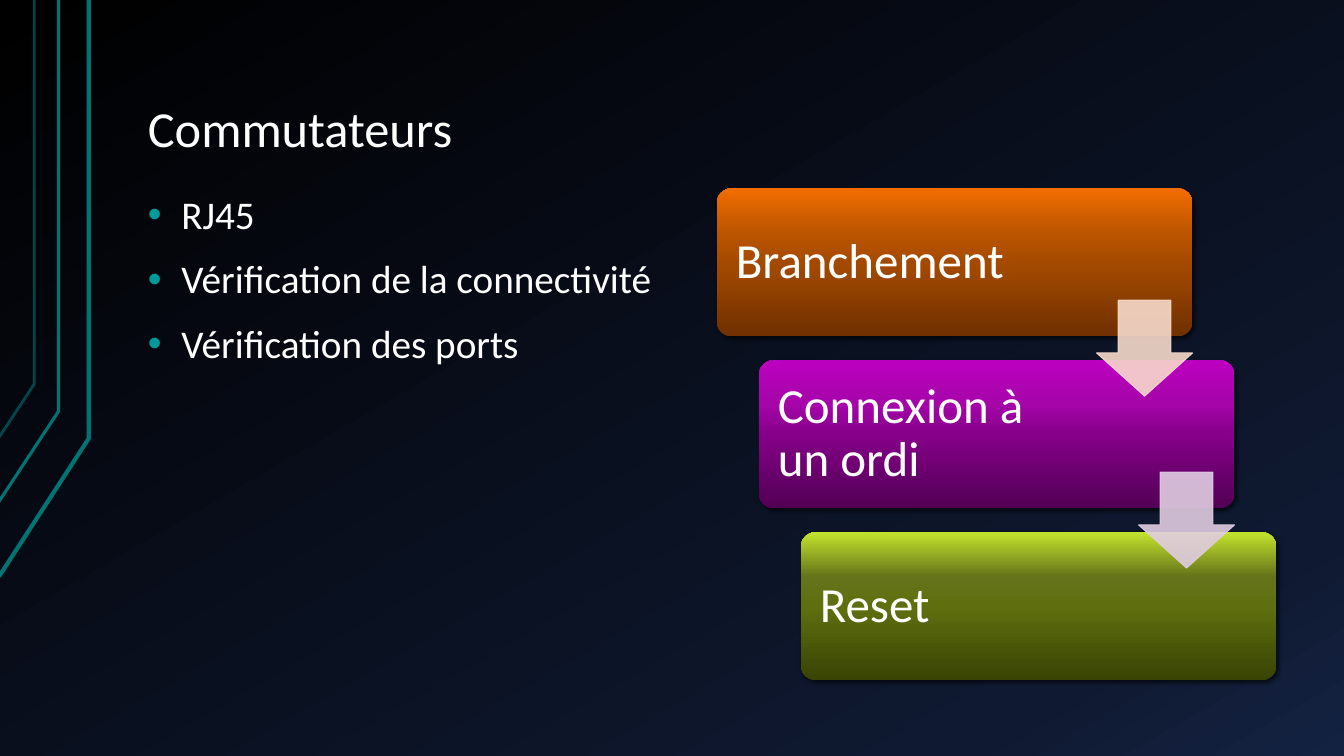
import pptx
import pptx.util
import pptx.dml.color
import pptx.enum.shapes
import pptx.enum.text
import pptx.oxml.ns
from lxml import etree

Pt = pptx.util.Pt
RGBColor = pptx.dml.color.RGBColor
SHAPE = pptx.enum.shapes.MSO_SHAPE
ANCHOR = pptx.enum.text.MSO_ANCHOR
qn = pptx.oxml.ns.qn

COLORS = {"white": "FFFFFF", "trace": "007373", "bullet": "009999", "shadow": "000000",
          "orange arrow": "F7DACC", "purple arrow": "E0CCE1"}
GRADIENTS = {
    "background": [(0, "000000"), (85, "0F1931"), (100, "142242")],
    "orange": [(0, "703000"), (50, "A44A00"), (70, "BC5500"), (100, "F26D00")],
    "purple": [(0, "520054"), (50, "850088"), (70, "A505A9"), (100, "BC00C0")],
    "green": [(0, "394404"), (50, "5F6F0F"), (70, "65741A"), (100, "C4E32D")],
}


def apply_gradient(fill, element, stops, angle):
    """Fill with colour stops given in percent; the angle runs clockwise."""
    fill.gradient()
    gradient = next(element.iter(qn("a:gradFill")))
    stop_list = gradient.find(qn("a:gsLst"))
    for stop in list(stop_list):
        stop_list.remove(stop)
    for position, color in stops:
        stop = etree.SubElement(stop_list, qn("a:gs"), pos=str(position * 1000))
        etree.SubElement(stop, qn("a:srgbClr"), val=color)
    direction = gradient.find(qn("a:lin"))
    direction.set("ang", str(angle * 60000))
    direction.set("scaled", "0")


def add_text(box, lines, size, anchor, margins):
    """Add a text box of white paragraphs and return its paragraphs."""
    frame = slide.shapes.add_textbox(*map(Pt, box)).text_frame
    frame.word_wrap = True
    frame.vertical_anchor = anchor
    frame.margin_left = frame.margin_right = Pt(margins[0])
    frame.margin_top = frame.margin_bottom = Pt(margins[1])
    for index, line in enumerate(lines):
        paragraph = frame.add_paragraph() if index else frame.paragraphs[0]
        paragraph.line_spacing = 0.9
        run = paragraph.add_run()
        run.text = line
        run.font.size = Pt(size)
        run.font.name = "Calibri"
        run.font.color.rgb = RGBColor.from_string(COLORS["white"])
    return frame.paragraphs


presentation = pptx.Presentation()
presentation.slide_width = Pt(960)
presentation.slide_height = Pt(540)
slide = presentation.slides.add_slide(presentation.slide_layouts[6])
apply_gradient(slide.background.fill, slide.element, GRADIENTS["background"], 60)

# Circuit traces: start of the diagonal, bend, line width, opacity in percent
traces = [((-0.7, 411.8), (63.4, 313.2), 3, 100),
          ((-1.4, 359.3), (41.8, 293.8), 2.25, 100),
          ((-0.7, 312.5), (24.5, 274.3), 2, 60)]
for (start_x, start_y), (bend_x, bend_y), width, opacity in traces:
    builder = slide.shapes.build_freeform(Pt(start_x), Pt(start_y))
    builder.add_line_segments([(Pt(bend_x), Pt(bend_y)), (Pt(bend_x), 0)], close=False)
    trace = builder.convert_to_shape()
    trace.shadow.inherit = False
    trace.fill.background()
    trace.line.width = Pt(width)
    trace.line.color.rgb = RGBColor.from_string(COLORS["trace"])
    for color in trace.element.spPr.iter(qn("a:srgbClr")):
        etree.SubElement(color, qn("a:alpha"), val=str(opacity * 1000))

# Title and bullets
add_text((96, 21.6, 816, 96.5), ["Commutateurs"], 36, ANCHOR.BOTTOM, (9.6, 4.8))
bullets = ["RJ45", "Vérification de la connectivité", "Vérification des ports"]
for paragraph in add_text((96, 134.6, 399.6, 351.4), bullets, 28, ANCHOR.TOP, (9.6, 4.8)):
    paragraph.space_before = Pt(16)
    properties = paragraph._p.get_or_add_pPr()
    properties.set("marL", str(Pt(24)))
    properties.set("indent", str(-Pt(24)))
    bullet_color = etree.SubElement(properties, qn("a:buClr"))
    etree.SubElement(bullet_color, qn("a:srgbClr"), val=COLORS["bullet"])
    etree.SubElement(properties, qn("a:buFont"), typeface="Arial")
    etree.SubElement(properties, qn("a:buChar"), char="•")

# Staircase of steps
CARD_LEFT, CARD_TOP, STEP_X, STEP_Y = 512, 134.6, 30, 122.8
steps = [("Branchement", "orange", 226), ("Connexion à un ordi", "purple", 235.4),
         ("Reset", "green", 235.4)]
for index, (label, gradient_name, text_width) in enumerate(steps):
    left, top = CARD_LEFT + index * STEP_X, CARD_TOP + index * STEP_Y
    card = slide.shapes.add_shape(SHAPE.ROUNDED_RECTANGLE, Pt(left), Pt(top), Pt(339.8), Pt(105.8))
    card.adjustments[0] = 0.1
    apply_gradient(card.fill, card.element, GRADIENTS[gradient_name], 270)
    card.line.fill.background()
    card.shadow.inherit = False
    effects = card.element.spPr.find(qn("a:effectLst"))
    shadow = etree.SubElement(effects, qn("a:outerShdw"), blurRad=str(Pt(3)), dist=str(Pt(2)),
                              dir=str(45 * 60000), algn="ctr", rotWithShape="0")
    shadow_color = etree.SubElement(shadow, qn("a:srgbClr"), val=COLORS["shadow"])
    etree.SubElement(shadow_color, qn("a:alpha"), val="60000")
    add_text((left + 3.1, top + 3.1, text_width, 99.6), [label], 35, ANCHOR.MIDDLE, (10.5, 10.5))

# Arrows between consecutive steps
for index, color_name in enumerate(["orange arrow", "purple arrow"]):
    arrow = slide.shapes.add_shape(SHAPE.DOWN_ARROW, Pt(CARD_LEFT + 271.3 + index * STEP_X),
                                   Pt(CARD_TOP + 79.8 + index * STEP_Y), Pt(68.6), Pt(68.6))
    arrow.adjustments[0], arrow.adjustments[1] = 0.55, 0.45
    arrow.shadow.inherit = False
    arrow.fill.solid()
    arrow.fill.fore_color.rgb = RGBColor.from_string(COLORS[color_name])
    arrow.line.color.rgb = RGBColor.from_string(COLORS[color_name])
    arrow.line.width = Pt(0.75)
    for color in arrow.element.spPr.iter(qn("a:srgbClr")):
        etree.SubElement(color, qn("a:alpha"), val="90000")

presentation.save("out.pptx")
